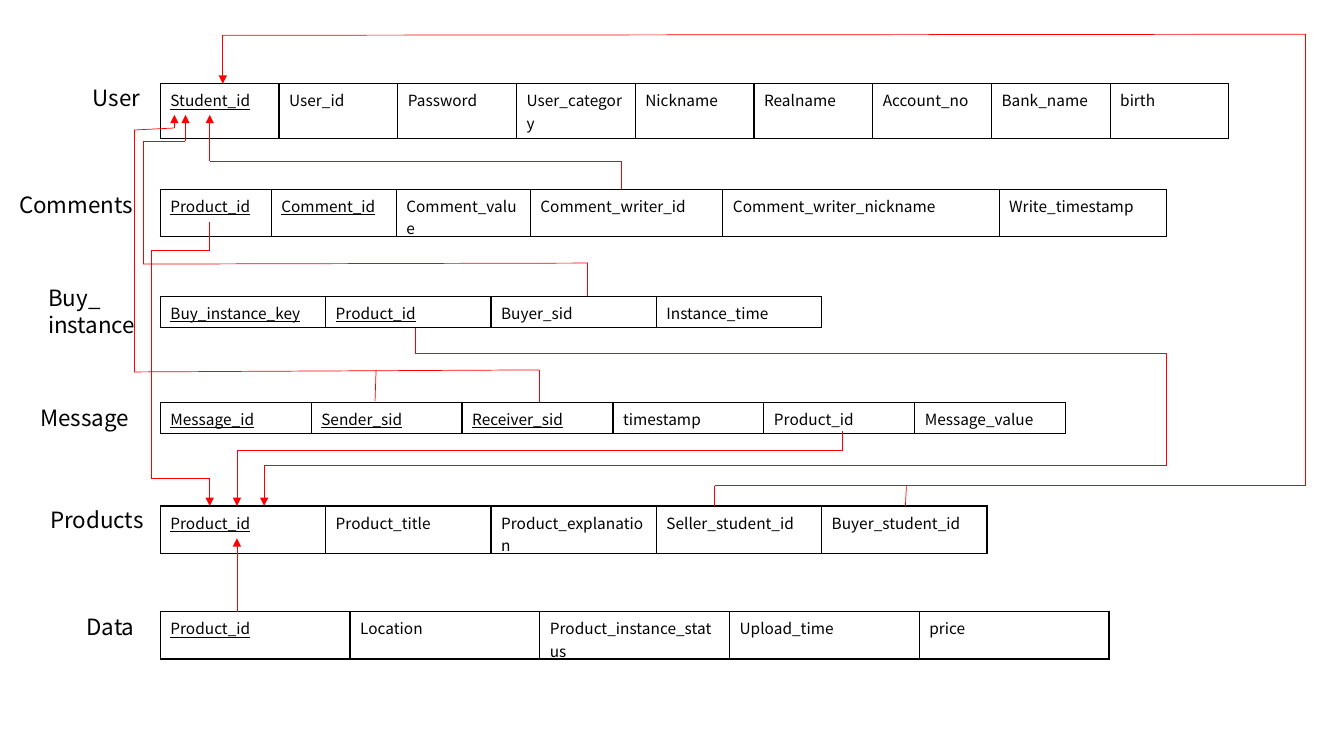
from itertools import pairwise

from lxml import etree
from pptx import Presentation
from pptx.dml.color import RGBColor
from pptx.enum.shapes import MSO_CONNECTOR
from pptx.enum.text import MSO_AUTO_SIZE
from pptx.oxml.ns import qn
from pptx.util import Inches, Pt

STRAIGHT = MSO_CONNECTOR.STRAIGHT
GROW = MSO_AUTO_SIZE.SHAPE_TO_FIT_TEXT
FONT = "Noto Sans CJK KR"
COLORS = {"text": "000000", "border": "000000", "reference": "FF0000"}
TABLE_LEFT = 1.59

# Label, label box, table top, column widths, key columns, other columns
RELATIONS = [
    ("User", (0.82, 0.79, 1.01, 0.37), 0.83, [10.6 / 9] * 9,
     ["Student_id"],
     ["User_id", "Password", "User_category", "Nickname", "Realname",
      "Account_no", "Bank_name", "birth"]),
    ("Comments", (0.09, 1.85, 1.58, 0.37), 1.88,
     [1.1, 1.24, 1.33, 1.91, 2.74, 1.66],
     ["Product_id", "Comment_id"],
     ["Comment_value", "Comment_writer_id", "Comment_writer_nickname",
      "Write_timestamp"]),
    ("Buy_\ninstance", (0.38, 2.77, 1.33, 0.64), 2.94, [1.64] * 4,
     ["Buy_instance_key", "Product_id"],
     ["Buyer_sid", "Instance_time"]),
    ("Message", (0.3, 3.96, 1.58, 0.37), 3.99, [8.98 / 6] * 6,
     ["Message_id", "Sender_sid", "Receiver_sid"],
     ["timestamp", "Product_id", "Message_value"]),
    ("Products", (0.4, 4.97, 1.33, 0.37), 5.02, [1.64] * 5,
     ["Product_id"],
     ["Product_title", "Product_explanation", "Seller_student_id",
      "Buyer_student_id"]),
    ("Data", (0.76, 6.03, 1.33, 0.37), 6.07, [9.41 / 5] * 5,
     ["Product_id"],
     ["Location", "Product_instance_status", "Upload_time", "price"]),
]

# Each route runs from a foreign key to the key it refers to
REFERENCES = [
    [(6.16, 1.88), (6.16, 1.6), (2.08, 1.6), (2.08, 1.14)],
    [(5.83, 2.94), (5.83, 2.61), (1.42, 2.62), (1.42, 1.4), (1.84, 1.4),
     (1.84, 1.14)],
    [(5.35, 3.99), (5.35, 3.67), (1.33, 3.69), (1.33, 1.29), (1.73, 1.27),
     (1.73, 1.14)],
    [(7.09, 5.02), (7.09, 4.82), (12.95, 4.82), (12.95, 0.34), (2.21, 0.35),
     (2.21, 0.83)],
    [(2.08, 2.2), (2.08, 2.48), (1.5, 2.48), (1.5, 4.75), (2.08, 4.75),
     (2.08, 5.02)],
    [(8.35, 4.28), (8.35, 4.47), (2.35, 4.47), (2.35, 5.02)],
    [(4.12, 3.25), (4.12, 3.51), (11.57, 3.51), (11.57, 4.62), (2.62, 4.62),
     (2.62, 5.02)],
    [(2.35, 6.07), (2.35, 5.34)],
]

# Branches join a route that is already drawn
BRANCHES = [
    [(3.72, 3.98), (3.73, 3.67)],
    [(8.98, 5.02), (8.99, 4.82)],
]


def write_text(text_frame, text, size, underline=False):
    for index, line in enumerate(text.split("\n")):
        paragraph = text_frame.add_paragraph() if index else text_frame.paragraphs[0]
        run = paragraph.add_run()
        run.text = line
        run.font.size = Pt(size)
        run.font.name = FONT
        run.font.underline = underline
        run.font.color.rgb = RGBColor.from_string(COLORS["text"])
        # Latin and East Asian text share the font
        east_asian = etree.SubElement(run.font._element, qn("a:ea"))
        east_asian.set("typeface", FONT)


def add_borders(cell):
    properties = cell._tc.get_or_add_tcPr()
    for side in ("a:lnL", "a:lnR", "a:lnT", "a:lnB"):
        border = etree.SubElement(properties, qn(side), w=str(Pt(1)))
        fill = etree.SubElement(border, qn("a:solidFill"))
        etree.SubElement(fill, qn("a:srgbClr"), val=COLORS["border"])


def add_label(slide, text, box):
    shape = slide.shapes.add_textbox(*map(Inches, box))
    shape.text_frame.word_wrap = True
    shape.text_frame.auto_size = GROW
    write_text(shape.text_frame, text, size=16)


def add_relation_table(slide, top, widths, keys, attributes):
    frame = slide.shapes.add_table(
        1, len(widths), Inches(TABLE_LEFT), Inches(top),
        Inches(sum(widths)), Inches(0.31))
    table = frame.table
    table.first_row = False
    table.horz_banding = False
    for index, (width, name) in enumerate(zip(widths, keys + attributes)):
        table.columns[index].width = Inches(width)
        cell = table.cell(0, index)
        add_borders(cell)
        cell.fill.background()
        write_text(cell.text_frame, name, size=11, underline=index < len(keys))


def add_route(slide, points, arrow):
    for start, end in pairwise(points):
        connector = slide.shapes.add_connector(
            STRAIGHT, *map(Inches, start + end))
        connector.line.color.rgb = RGBColor.from_string(COLORS["reference"])
        connector.line.width = Pt(0.5)
        etree.SubElement(connector._element.spPr, qn("a:effectLst"))
    if arrow:
        line = connector.line._get_or_add_ln()
        etree.SubElement(line, qn("a:tailEnd"), type="triangle")


def build_schema_slide(presentation):
    slide = presentation.slides.add_slide(presentation.slide_layouts[6])
    # Relations with their labels
    for label, label_box, top, widths, keys, attributes in RELATIONS:
        add_relation_table(slide, top, widths, keys, attributes)
        add_label(slide, label, label_box)
    # Foreign key references
    for points in REFERENCES:
        add_route(slide, points, arrow=True)
    for points in BRANCHES:
        add_route(slide, points, arrow=False)


def main():
    presentation = Presentation()
    presentation.slide_width = Inches(13.33)
    presentation.slide_height = Inches(7.5)
    build_schema_slide(presentation)
    presentation.save("out.pptx")


if __name__ == "__main__":
    main()
